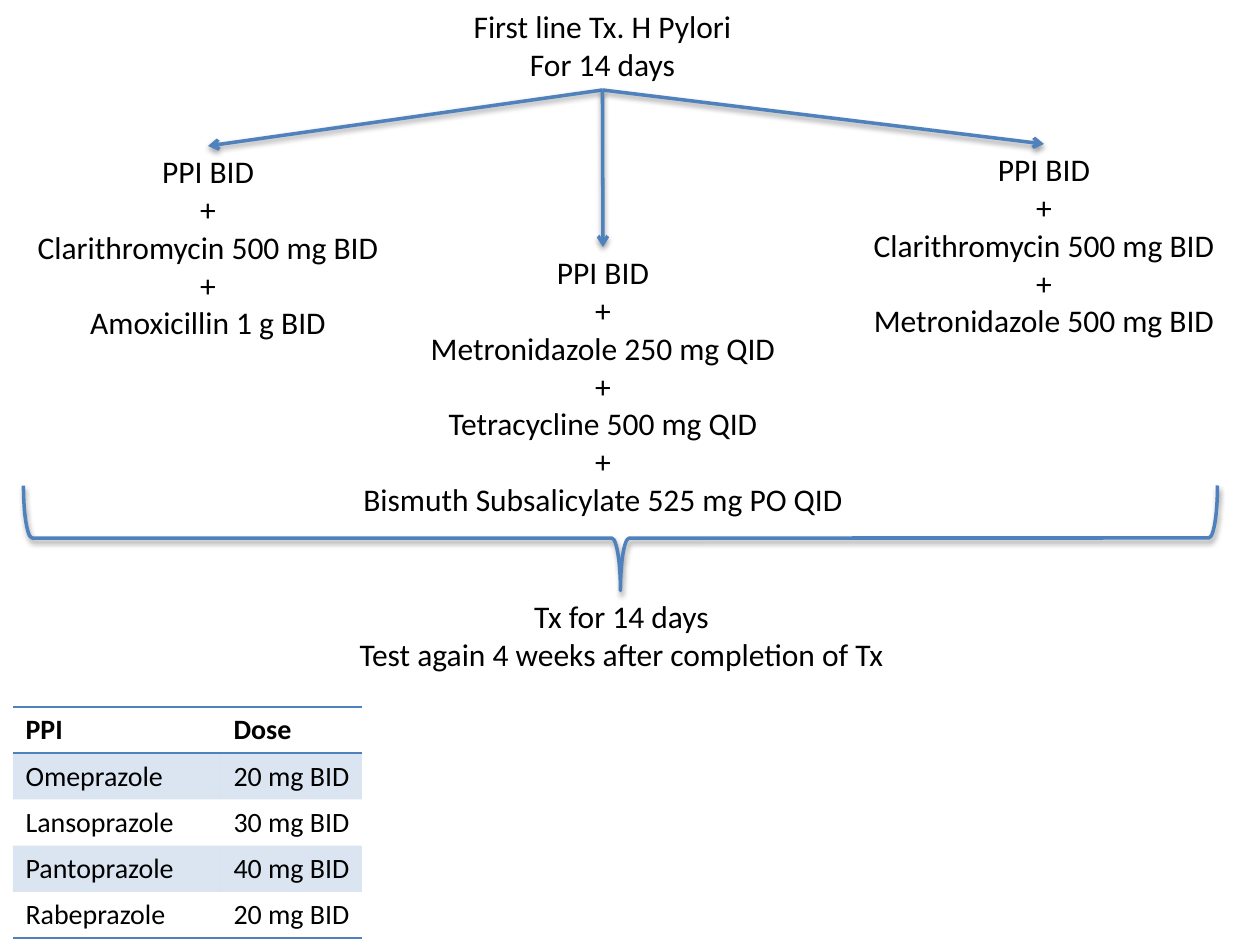
from dataclasses import dataclass

from lxml import etree
from pptx import Presentation
from pptx.dml.color import RGBColor
from pptx.enum.shapes import MSO_CONNECTOR, MSO_SHAPE
from pptx.enum.text import MSO_ANCHOR, MSO_AUTO_SIZE, PP_ALIGN
from pptx.oxml import parse_xml
from pptx.oxml.ns import qn
from pptx.util import Emu, Pt

STRAIGHT = MSO_CONNECTOR.STRAIGHT
LEFT_BRACE = MSO_SHAPE.LEFT_BRACE
CENTER, LEFT = PP_ALIGN.CENTER, PP_ALIGN.LEFT
MIDDLE = MSO_ANCHOR.MIDDLE
GROW = MSO_AUTO_SIZE.SHAPE_TO_FIT_TEXT
TOP_SIDE, BOTTOM_SIDE = 0, 2
DML = "http://schemas.openxmlformats.org/drawingml/2006/main"


@dataclass(frozen=True)
class Theme:
    font: str = "Calibri"
    text: str = "000000"
    accent: str = "4F81BD"
    body: int = 18
    table: int = 16
    line: int = 2
    border: int = 1
    band_alpha: int = 20


THEME = Theme()

# Boxes are left, top, width, height in px; 126 px to the inch.
SLIDE = (1260, 945)
TITLE = ((459, 1, 287, 89), ["First line Tx. H Pylori", "For 14 days"], False)
REGIMENS = [
    ((23, 146, 370, 204),
     ["PPI BID", "Clarithromycin 500 mg BID", "Amoxicillin 1 g BID"], False),
    ((828, 144, 432, 204),
     ["PPI BID", "Clarithromycin 500 mg BID", "Metronidazole 500 mg BID"], True),
    ((341, 247, 524, 280),
     ["PPI BID", "Metronidazole 250 mg QID", "Tetracycline 500 mg QID",
      "Bismuth Subsalicylate 525 mg PO QID"], True),
]
FOLLOW_UP = ((341, 591, 561, 89),
             ["Tx for 14 days", "Test again 4 weeks after completion of Tx"], False)
BRACE = (568, -59, 105, 1194)
DOSES = [
    ("PPI", "Dose"),
    ("Omeprazole", "20 mg BID"),
    ("Lansoprazole", "30 mg BID"),
    ("Pantoprazole", "40 mg BID"),
    ("Rabeprazole", "20 mg BID"),
]
TABLE_AT = (13, 707)
COLUMNS = (208, 141)
ROW_HEIGHT = 46


def px(n):
    return Emu(round(n * 914400 / 126))


def rgb(color):
    return RGBColor.from_string(color)


def write(tf, lines, size=THEME.body, bold=False, align=CENTER):
    for i, line in enumerate(lines):
        p = tf.paragraphs[0] if i == 0 else tf.add_paragraph()
        p.alignment = align
        r = p.add_run()
        r.text = line
        r.font.name, r.font.size, r.font.bold = THEME.font, Pt(size), bold
        r.font.color.rgb = rgb(THEME.text)


def add_text(slide, box, lines, wrap):
    sp = slide.shapes.add_textbox(*map(px, box))
    sp.text_frame.word_wrap = wrap
    sp.text_frame.auto_size = GROW
    write(sp.text_frame, lines)
    return sp


def style_line(sp):
    """Give a shape or connector the accent line and a soft shadow below it."""
    sp.line.color.rgb = rgb(THEME.accent)
    sp.line.width = Pt(THEME.line)
    sp._element.spPr.append(parse_xml(
        f'<a:effectLst xmlns:a="{DML}"><a:outerShdw blurRad="40000" dist="20000" '
        'dir="5400000" rotWithShape="0"><a:srgbClr val="000000">'
        '<a:alpha val="38000"/></a:srgbClr></a:outerShdw></a:effectLst>'))


def add_arrow(slide, start, end):
    cxn = slide.shapes.add_connector(STRAIGHT, 0, 0, 0, 0)
    cxn.begin_connect(start, BOTTOM_SIDE)
    cxn.end_connect(end, TOP_SIDE)
    style_line(cxn)
    etree.SubElement(cxn.line._get_or_add_ln(), qn("a:tailEnd"), type="arrow")


def add_brace(slide):
    sp = slide.shapes.add_shape(LEFT_BRACE, *map(px, BRACE))
    sp.rotation = 270
    sp.fill.background()
    style_line(sp)


def set_borders(cell, ruled_sides):
    """Rule the given sides (of L, R, T, B) and clear the others."""
    for i, side in enumerate("LRTB"):
        ruled = side in ruled_sides
        paint = (f'<a:solidFill><a:srgbClr val="{THEME.accent}"/></a:solidFill>'
                 if ruled else "<a:noFill/>")
        width = Pt(THEME.border) if ruled else 0
        cell._tc.get_or_add_tcPr().insert(i, parse_xml(
            f'<a:ln{side} xmlns:a="{DML}" w="{width}">{paint}</a:ln{side}>'))


def fill_cell(cell, banded):
    if not banded:
        cell.fill.background()
        return
    cell.fill.solid()
    cell.fill.fore_color.rgb = rgb(THEME.accent)
    color = cell._tc.tcPr.find(".//" + qn("a:srgbClr"))
    etree.SubElement(color, qn("a:alpha"), val=str(THEME.band_alpha * 1000))


def add_dose_table(slide):
    count = len(DOSES)
    box = (*TABLE_AT, sum(COLUMNS), ROW_HEIGHT * count)
    table = slide.shapes.add_table(count, len(COLUMNS), *map(px, box)).table
    table.first_row = table.horz_banding = False
    for column, width in zip(table.columns, COLUMNS):
        column.width = px(width)
    ruled_edges = {0, 1, count}
    for i, row in enumerate(DOSES):
        table.rows[i].height = px(ROW_HEIGHT)
        sides = [side for side, edge in (("T", i), ("B", i + 1)) if edge in ruled_edges]
        for j, value in enumerate(row):
            cell = table.cell(i, j)
            cell.vertical_anchor = MIDDLE
            write(cell.text_frame, [value], size=THEME.table, bold=i == 0, align=LEFT)
            fill_cell(cell, banded=i % 2 == 1)
            set_borders(cell, sides)


def main():
    prs = Presentation()
    prs.slide_width, prs.slide_height = map(px, SLIDE)
    slide = prs.slides.add_slide(prs.slide_layouts[6])
    title = add_text(slide, *TITLE)
    regimens = [add_text(slide, box, "\n+\n".join(drugs).split("\n"), wrap)
                for box, drugs, wrap in REGIMENS]
    for regimen in regimens:
        add_arrow(slide, title, regimen)
    add_dose_table(slide)
    add_text(slide, *FOLLOW_UP)
    add_brace(slide)
    prs.save("out.pptx")


if __name__ == "__main__":
    main()
